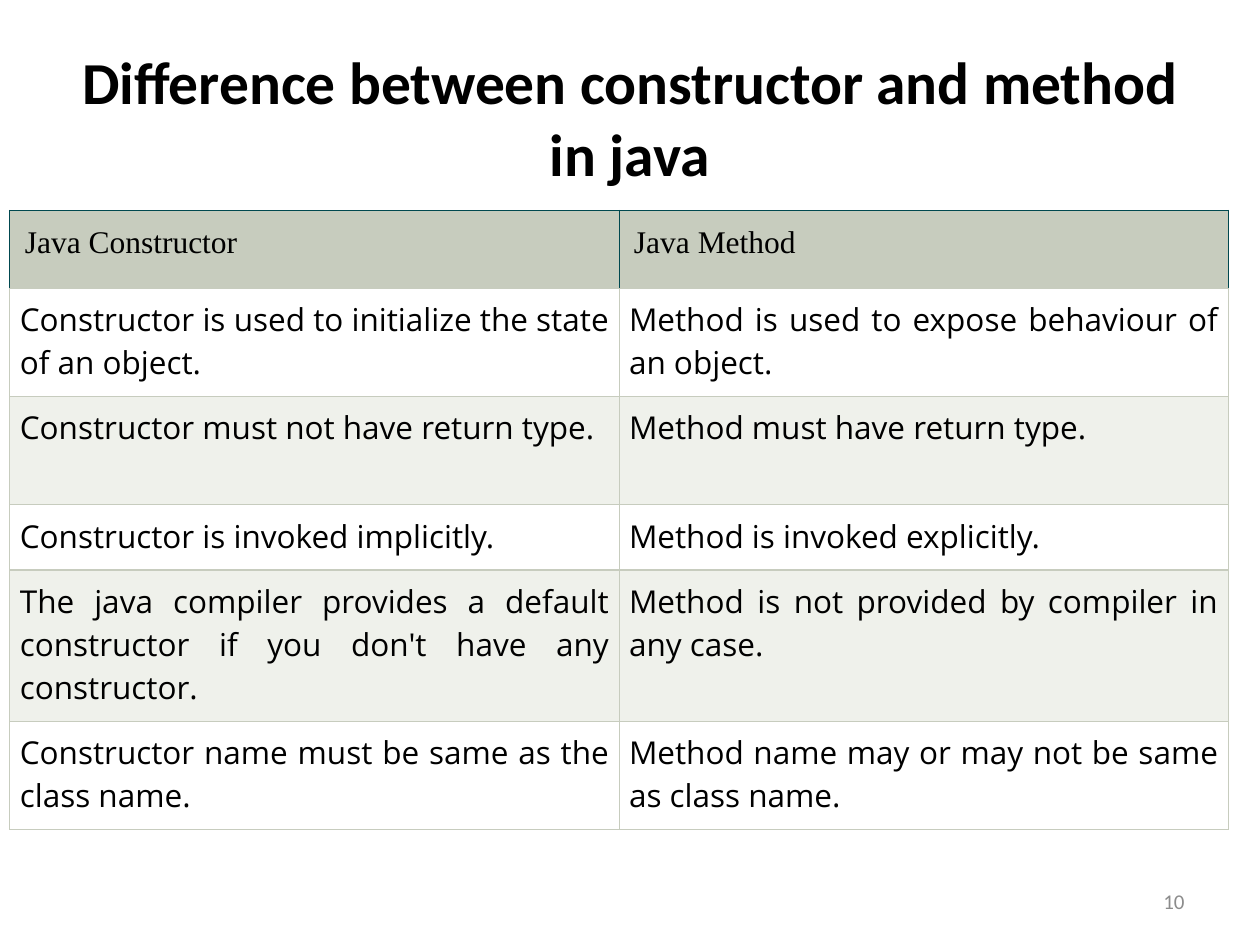
"""Build a slide that compares constructors and methods in Java."""
from lxml import etree
from pptx import Presentation
from pptx import util as u
from pptx.dml.color import RGBColor
from pptx.enum import text
from pptx.oxml.ns import qn

COLORS = {
    "ink": "000000",
    "number": "8C8C8C",
    "header": "C7CCBE",
    "rule": "C7CCBE",
    "frame": "00484F",
    "plain": "FFFFFF",
    "band": "EFF1EB",
}
ALIGN = text.PP_ALIGN
MIDDLE = text.MSO_ANCHOR.MIDDLE


def write(tf, content, size=18, font="Open Sans", color="ink", bold=False, align=ALIGN.LEFT):
    p = tf.paragraphs[0]
    p.alignment = align
    r = p.add_run()
    r.text = content
    r.font.size = u.Pt(size)
    r.font.name = font
    r.font.bold = bold
    r.font.color.rgb = RGBColor.from_string(COLORS[color])


def set_borders(cell, colors, width=0.75):
    tc_pr = cell._tc.get_or_add_tcPr()
    for i, (side, color) in enumerate(zip("LRTB", colors)):
        ln = etree.Element(qn(f"a:ln{side}"), w=str(u.Pt(width)))
        fill = etree.SubElement(ln, qn("a:solidFill"))
        etree.SubElement(fill, qn("a:srgbClr"), val=COLORS[color])
        tc_pr.insert(i, ln)


class Deck:
    def __init__(self, width, height):
        self.prs = Presentation()
        self.prs.slide_width, self.prs.slide_height = u.Cm(width), u.Cm(height)
        self.s = self.prs.slides.add_slide(self.prs.slide_layouts[6])

    def label(self, box, content, **style):
        sp = self.s.shapes.add_textbox(*map(u.Cm, box))
        tf = sp.text_frame
        tf.word_wrap = True
        tf.vertical_anchor = MIDDLE
        write(tf, content, **style)

    def cell(self, cell, content, fill, margin, borders, **style):
        cell.fill.solid()
        cell.fill.fore_color.rgb = RGBColor.from_string(COLORS[fill])
        cell.margin_left = cell.margin_right = u.Cm(margin)
        cell.margin_top = cell.margin_bottom = u.Cm(margin)
        set_borders(cell, borders)
        write(cell.text_frame, content, **style)

    def table(self, left, top, col_width, heights, rows):
        cols = len(rows[0])
        box = (left, top, col_width * cols, sum(heights))
        table = self.s.shapes.add_table(len(rows), cols, *map(u.Cm, box)).table
        for col in table.columns:
            col.width = u.Cm(col_width)
        for i, (height, row) in enumerate(zip(heights, rows)):
            table.rows[i].height = u.Cm(height)
            for j, content in enumerate(row):
                if i == 0:
                    self.cell(table.cell(i, j), content, "header", 0.3,
                              ["frame"] * 3 + ["rule"], font="Times New Roman")
                else:
                    self.cell(table.cell(i, j), content, "plain" if i % 2 else "band",
                              0.2, ["rule"] * 4, align=ALIGN.JUSTIFY)


ROWS = [
    ("Java Constructor", "Java Method"),
    ("Constructor is used to initialize the state of an object.",
     "Method is used to expose behaviour of an object."),
    ("Constructor must not have return type.", "Method must have return type."),
    ("Constructor is invoked implicitly.", "Method is invoked explicitly."),
    ("The java compiler provides a default constructor if you don't have any constructor.",
     "Method is not provided by compiler in any case."),
    ("Constructor name must be same as the class name.",
     "Method name may or may not be same as class name."),
]

deck = Deck(25.4, 19.05)
deck.label((1.27, 0.76, 22.86, 3.18), "Difference between constructor and method in java",
           size=34, font="Calibri", bold=True, align=ALIGN.CENTER)
deck.table(0.2, 4.24, 12.28, [1.57, 2.18, 2.18, 1.32, 3.05, 2.18], ROWS)
deck.label((18.2, 17.65, 5.93, 1.02), "10",
           size=12, font="Calibri", color="number", align=ALIGN.RIGHT)
deck.prs.save("out.pptx")
